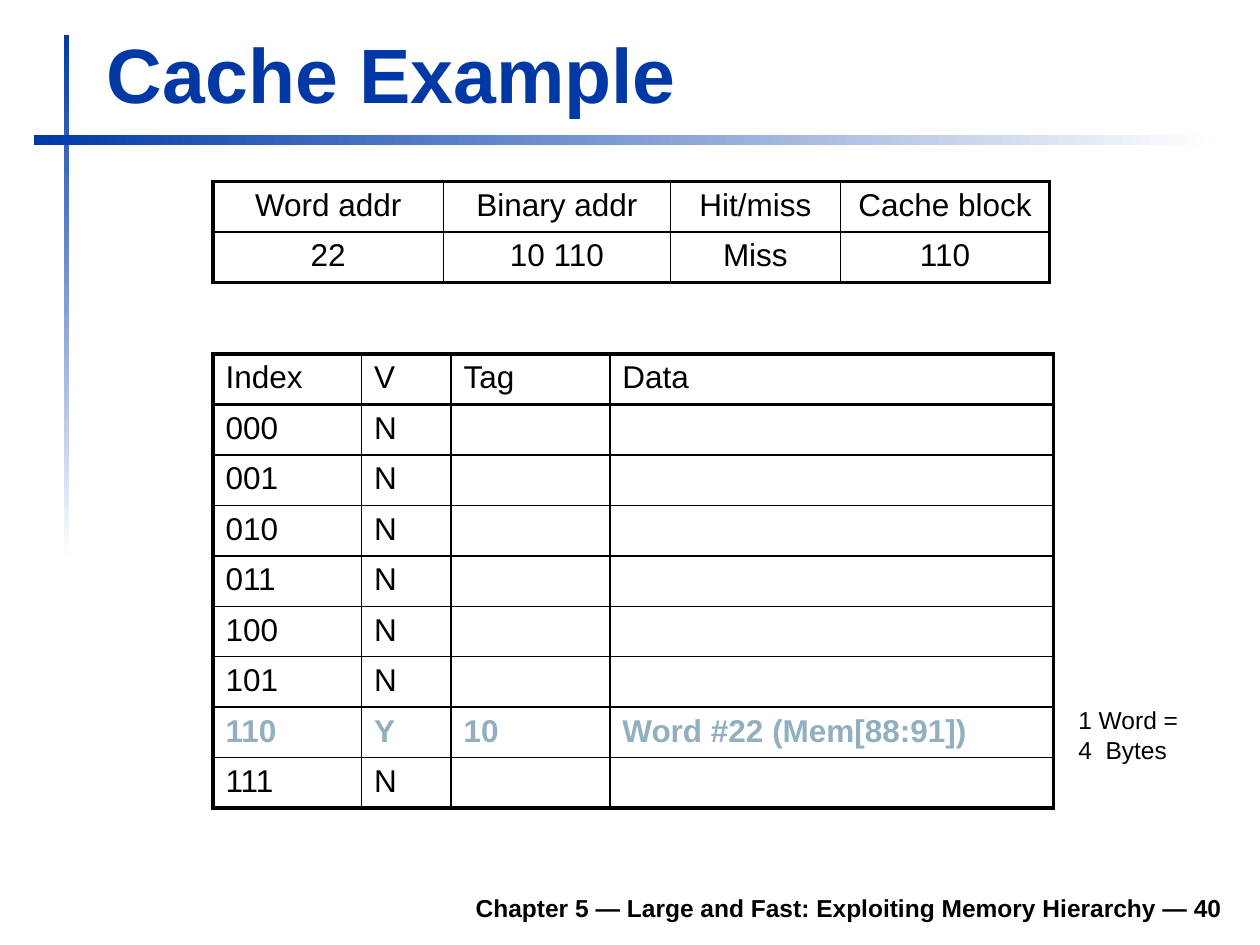
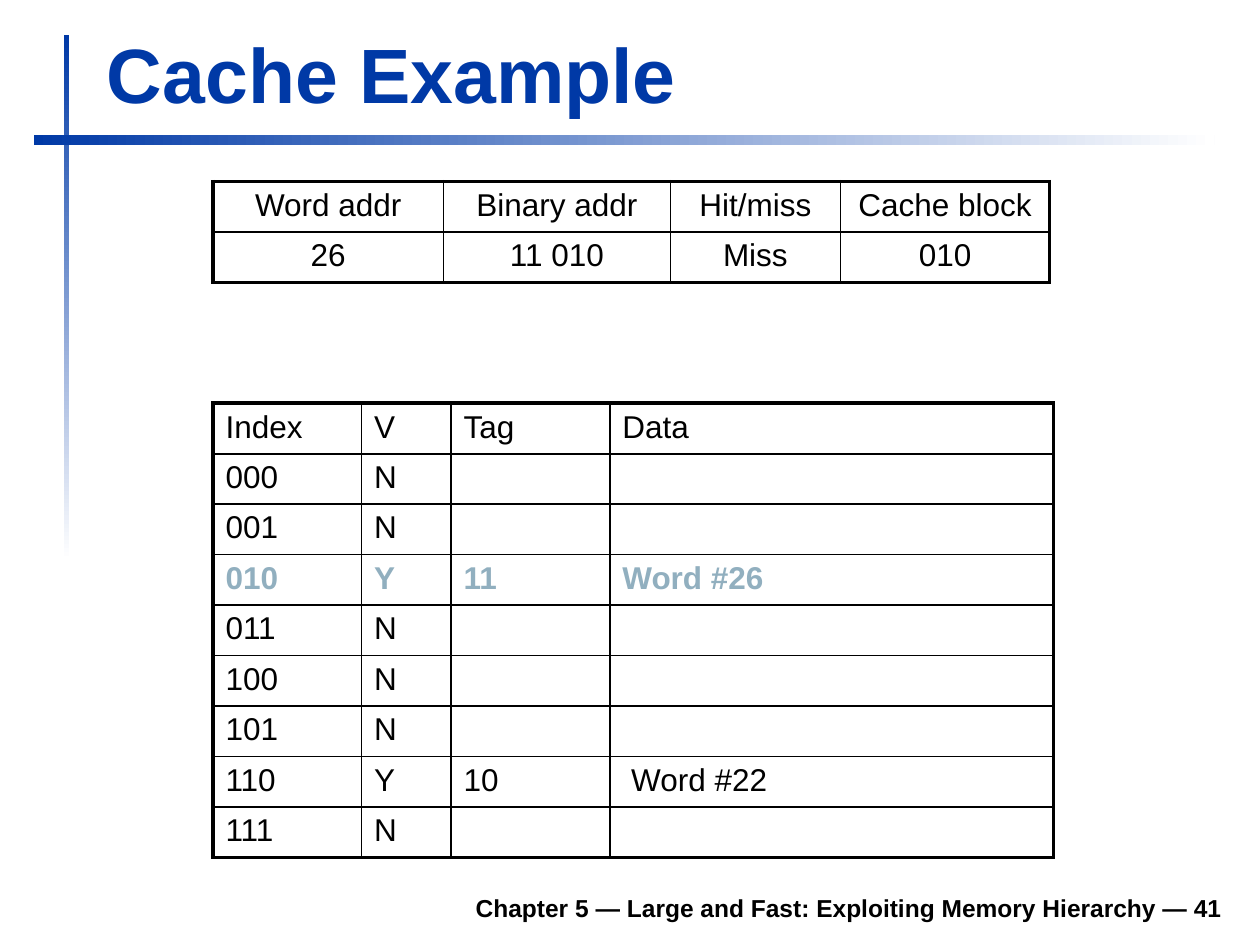
from dataclasses import dataclass, field

from lxml import etree
from pptx import Presentation
from pptx import util as u
from pptx.dml import color
from pptx.enum import shapes, text
from pptx.oxml import ns

PX = 9144
FONT = "Arial"
COLORS = {"brand": "0039A6", "paper": "FFFFFF", "ink": "000000", "accent": "91AFBF"}
ROW_H = 40
OUTER, HEADER, INNER = 2.25, 1.5, 1
FOOTER = "Chapter 5 — Large and Fast: Exploiting Memory Hierarchy — "
ALIGN = text.PP_ALIGN


@dataclass(frozen=True)
class Box:
    x: int
    y: int
    w: int
    h: int

    def emu(self) -> list[int]:
        return [v * PX for v in (self.x, self.y, self.w, self.h)]


@dataclass(frozen=True)
class Bar:
    box: Box
    angle: int


@dataclass(frozen=True)
class Style:
    size: int
    bold: bool = False
    color: str = "ink"
    align: ALIGN = ALIGN.LEFT


@dataclass(frozen=True)
class Label:
    box: Box
    style: Style
    frame: dict = field(default_factory=dict)


@dataclass(frozen=True)
class Grid:
    x: int
    y: int
    cols: tuple[int, ...]
    align: ALIGN


@dataclass(frozen=True)
class Access:
    number: int
    word: str
    tag: str
    block: str
    cache_y: int
    filled: dict[str, tuple[str, str]]
    note: str = ""


BARS = (
    Bar(Box(51, 28, 4, 417), 270),
    Bar(Box(27, 107, 937, 8), 0),
)
BOTTOM = {"word_wrap": True, "vertical_anchor": text.MSO_ANCHOR.BOTTOM}
TITLE = Label(Box(75, 16, 903, 83), Style(44, True, "brand"), BOTTOM)
FOOT = Label(Box(185, 698, 795, 39), Style(14, True, align=ALIGN.RIGHT), BOTTOM)
NOTE = Label(
    Box(846, 555, 100, 57),
    Style(14),
    {"word_wrap": False, "auto_size": text.MSO_AUTO_SIZE.SHAPE_TO_FIT_TEXT},
)
ACCESS_COLS = (183, 180, 135, 166)
CACHE_COLS = (118, 71, 126, 352)

ACCESSES = (
    Access(40, "22", "10", "110", 281,
           {"110": ("10", "Word #22 (Mem[88:91])")}, "1 Word =\n4  Bytes"),
    Access(41, "26", "11", "010", 320,
           {"010": ("11", "Word #26"), "110": ("10", " Word #22")}),
)


def rgb(name: str) -> color.RGBColor:
    return color.RGBColor.from_string(COLORS[name])


def write(p, words: str, style: Style) -> None:
    p.alignment = style.align
    r = p.add_run()
    r.text = words
    fmt = {"name": FONT, "size": u.Pt(style.size), "bold": style.bold}
    for key, value in fmt.items():
        setattr(r.font, key, value)
    r.font.color.rgb = rgb(style.color)


def add_bar(s, bar: Bar) -> None:
    sp = s.shapes.add_shape(shapes.MSO_SHAPE.RECTANGLE, *bar.box.emu())
    sp.shadow.inherit = False
    sp.line.fill.background()
    sp.fill.gradient()
    sp.fill.gradient_angle = bar.angle
    for stop, position, name in zip(sp.fill.gradient_stops, (0, 1), ("brand", "paper")):
        stop.position = position
        stop.color.rgb = rgb(name)


def add_label(s, label: Label, words: str) -> None:
    tf = s.shapes.add_textbox(*label.box.emu()).text_frame
    for key, value in label.frame.items():
        setattr(tf, key, value)
    for i, line in enumerate(words.split("\n")):
        write(tf.add_paragraph() if i else tf.paragraphs[0], line, label.style)


def add_borders(cell, widths: dict[str, float]) -> None:
    props = cell._tc.get_or_add_tcPr()
    for side, width in widths.items():
        ln = etree.SubElement(props, ns.qn(f"a:ln{side}"), w=str(u.Pt(width)))
        fill = etree.SubElement(ln, ns.qn("a:solidFill"))
        etree.SubElement(fill, ns.qn("a:srgbClr"), val=COLORS["ink"])


def add_grid(s, grid: Grid, rows: list[tuple[str, ...]], marked: str = "") -> None:
    box = Box(grid.x, grid.y, sum(grid.cols), ROW_H * len(rows))
    tbl = s.shapes.add_table(len(rows), len(grid.cols), *box.emu()).table
    for flag in ("first_row", "horz_banding"):
        setattr(tbl, flag, False)
    for col, width in zip(tbl.columns, grid.cols):
        col.width = width * PX
    edges_x = [OUTER] + [INNER] * (len(grid.cols) - 1) + [OUTER]
    edges_y = [OUTER, HEADER] + [INNER] * (len(rows) - 2) + [OUTER]
    plain = Style(18, align=grid.align)
    accent = Style(18, True, "accent", grid.align)
    for i, row in enumerate(rows):
        tbl.rows[i].height = ROW_H * PX
        for j, words in enumerate(row):
            cell = tbl.cell(i, j)
            add_borders(cell, {"L": edges_x[j], "R": edges_x[j + 1],
                               "T": edges_y[i], "B": edges_y[i + 1]})
            cell.fill.background()
            if words:
                style = accent if row[0] == marked else plain
                write(cell.text_frame.paragraphs[0], words, style)


def cache_rows(filled: dict[str, tuple[str, str]]) -> list[tuple[str, ...]]:
    rows = [("Index", "V", "Tag", "Data")]
    for n in range(8):
        index = f"{n:03b}"
        valid = "Y" if index in filled else "N"
        rows.append((index, valid, *filled.get(index, ("", ""))))
    return rows


def add_slide(prs, access: Access) -> None:
    s = prs.slides.add_slide(prs.slide_layouts[6])
    for bar in BARS:
        add_bar(s, bar)
    add_label(s, FOOT, f"{FOOTER}{access.number}")
    add_label(s, TITLE, "Cache Example")
    add_grid(s, Grid(169, access.cache_y, CACHE_COLS, ALIGN.LEFT),
             cache_rows(access.filled), access.block)
    add_grid(s, Grid(169, 144, ACCESS_COLS, ALIGN.CENTER), [
        ("Word addr", "Binary addr", "Hit/miss", "Cache block"),
        (access.word, f"{access.tag} {access.block}", "Miss", access.block),
    ])
    if access.note:
        add_label(s, NOTE, access.note)


def main() -> None:
    prs = Presentation()
    prs.slide_width, prs.slide_height = 1000 * PX, 750 * PX
    for access in ACCESSES:
        add_slide(prs, access)
    prs.save("out.pptx")


if __name__ == "__main__":
    main()
